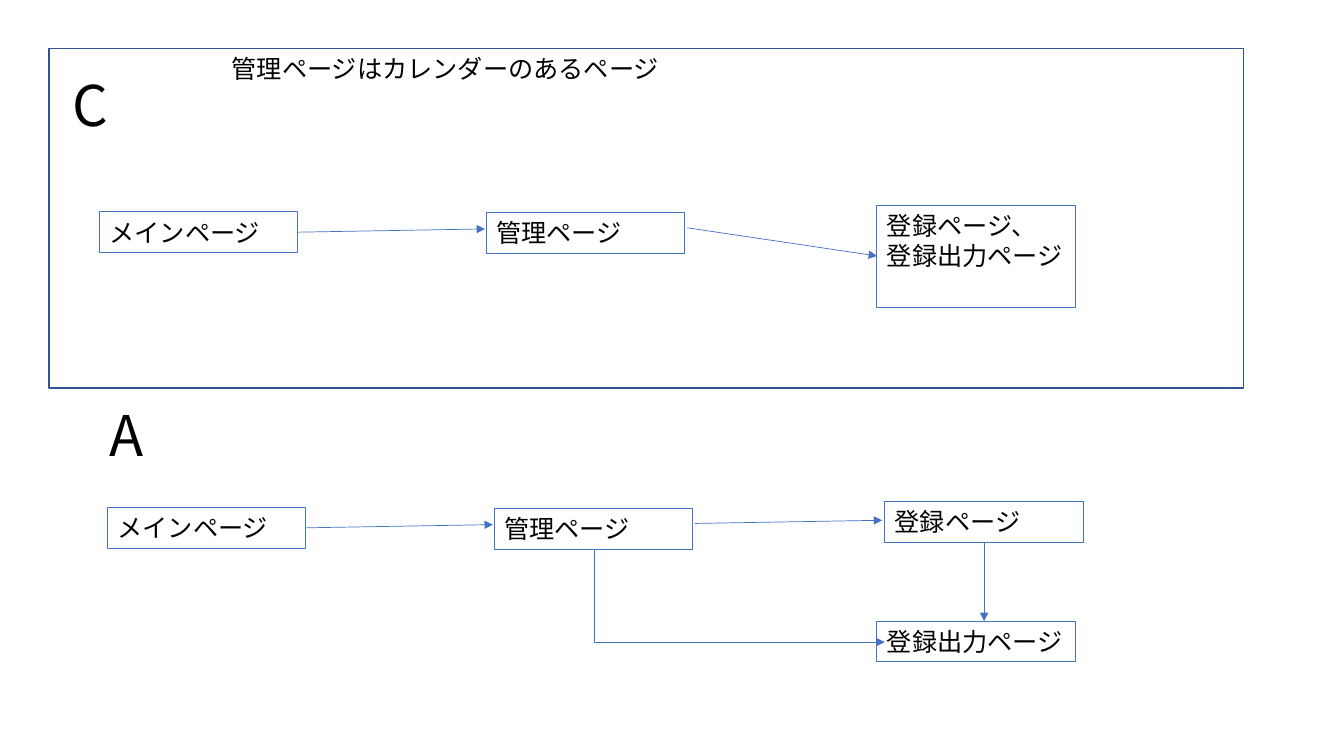
from lxml.etree import SubElement
from pptx import Presentation
from pptx.dml.color import RGBColor
from pptx.enum.shapes import MSO_CONNECTOR, MSO_SHAPE
from pptx.enum.text import MSO_ANCHOR, PP_ALIGN
from pptx.oxml.ns import qn
from pptx.util import Cm, Pt


def color(code):
    """Turn a hex string into a colour."""
    return RGBColor.from_string(code)


class Board:
    """Hold the style and the current slide."""

    font, ink, blue, navy = "Noto Sans CJK JP", "000000", "4472C4", "325491"
    wide, high = 5, 1.03

    def __init__(self, slide):
        """Keep the shapes of the slide."""
        self.shapes = slide.shapes

    def letter(self, shape, lines, size):
        """Fill a shape with left-aligned paragraphs."""
        frame = shape.text_frame
        frame.word_wrap = True
        frame.vertical_anchor = MSO_ANCHOR.TOP
        frame.text = "\n".join(lines)
        for para in frame.paragraphs:
            para.alignment = PP_ALIGN.LEFT
            font = para.font
            font.size, font.name = Pt(size), self.font
            font.color.rgb = color(self.ink)
            props = para._p.pPr.find(qn("a:defRPr"))
            SubElement(props, qn("a:ea"), typeface=self.font)

    def label(self, text, x, y, wide=wide, high=high, size=18):
        """Add plain text."""
        box = self.shapes.add_textbox(Cm(x), Cm(y), Cm(wide), Cm(high))
        self.letter(box, [text], size)

    def frame(self, x, y, wide, high, line=navy, width=1):
        """Add an unfilled rectangle."""
        rect = self.shapes.add_shape(
            MSO_SHAPE.RECTANGLE, Cm(x), Cm(y), Cm(wide), Cm(high))
        rect.shadow.inherit = False
        rect.fill.background()
        rect.line.color.rgb = color(line)
        rect.line.width = Pt(width)
        return rect

    def page(self, x, y, *lines, high=high):
        """Add a box that stands for a page."""
        rect = self.frame(x, y, self.wide, high, self.blue, 0.75)
        self.letter(rect, lines, 18)

    def arrow(self, x1, y1, x2, y2, kind=MSO_CONNECTOR.STRAIGHT):
        """Add a connector with an arrowhead at its end."""
        link = self.shapes.add_connector(kind, Cm(x1), Cm(y1), Cm(x2), Cm(y2))
        link.line.color.rgb = color(self.blue)
        link.line.width = Pt(0.5)
        props = link._element.spPr
        SubElement(props.find(qn("a:ln")), qn("a:tailEnd"), type="triangle")
        SubElement(props, qn("a:effectLst"))
        return link

    def bend(self, x1, y1, x2, y2):
        """Add an arrow that goes down and then right."""
        link = self.arrow(x1, y1, x2, y2, MSO_CONNECTOR.ELBOW)
        wide, high = x2 - x1, y2 - y1
        link.left = Cm((x1 + x2 - high) / 2)
        link.top = Cm((y1 + y2 - wide) / 2)
        link.width, link.height = Cm(high), Cm(wide)
        props = link._element.spPr
        props.find(qn("a:prstGeom")).set("prst", "bentConnector2")
        form = props.find(qn("a:xfrm"))
        form.set("rot", str(270 * 60000))
        form.set("flipH", "1")

    def flow(self, dx, dy, last, high, tip):
        """Add a row of three pages, with the tip of its second arrow."""
        self.page(2.51 + dx, 5.34 + dy, "メインページ")
        self.arrow(7.52 + dx, 5.85 + dy, 12.22 + dx, 5.77 + dy)
        self.page(12.26 + dx, 5.36 + dy, "管理ページ")
        self.arrow(17.32 + dx, 5.74 + dy, *tip)
        self.page(22.1 + dx, 5.18 + dy, *last, high=high)


deck = Presentation()
deck.slide_width, deck.slide_height = Cm(33.87), Cm(19.05)
board = Board(deck.slides.add_slide(deck.slide_layouts[6]))

board.flow(0, 0, ["登録ページ、", "登録出力ページ"], 2.57, (22.1, 6.45))
board.label("C", 1.57, 1.65, high=1.95, size=40)

board.flow(0.2, 7.45, ["登録ページ"], board.high, (22.23, 13.11))
board.bend(14.99, 13.84, 22.3, 16.18)
board.arrow(24.8, 13.66, 24.8, 15.65)
board.label("A", 2.51, 9.96, high=1.95, size=40)
board.page(22.1, 15.65, "登録出力ページ")

board.label("管理ページはカレンダーのあるページ", 5.59, 1.22, wide=11.33)
board.frame(1.24, 1.22, 30.1, 8.56)

deck.save("out.pptx")
